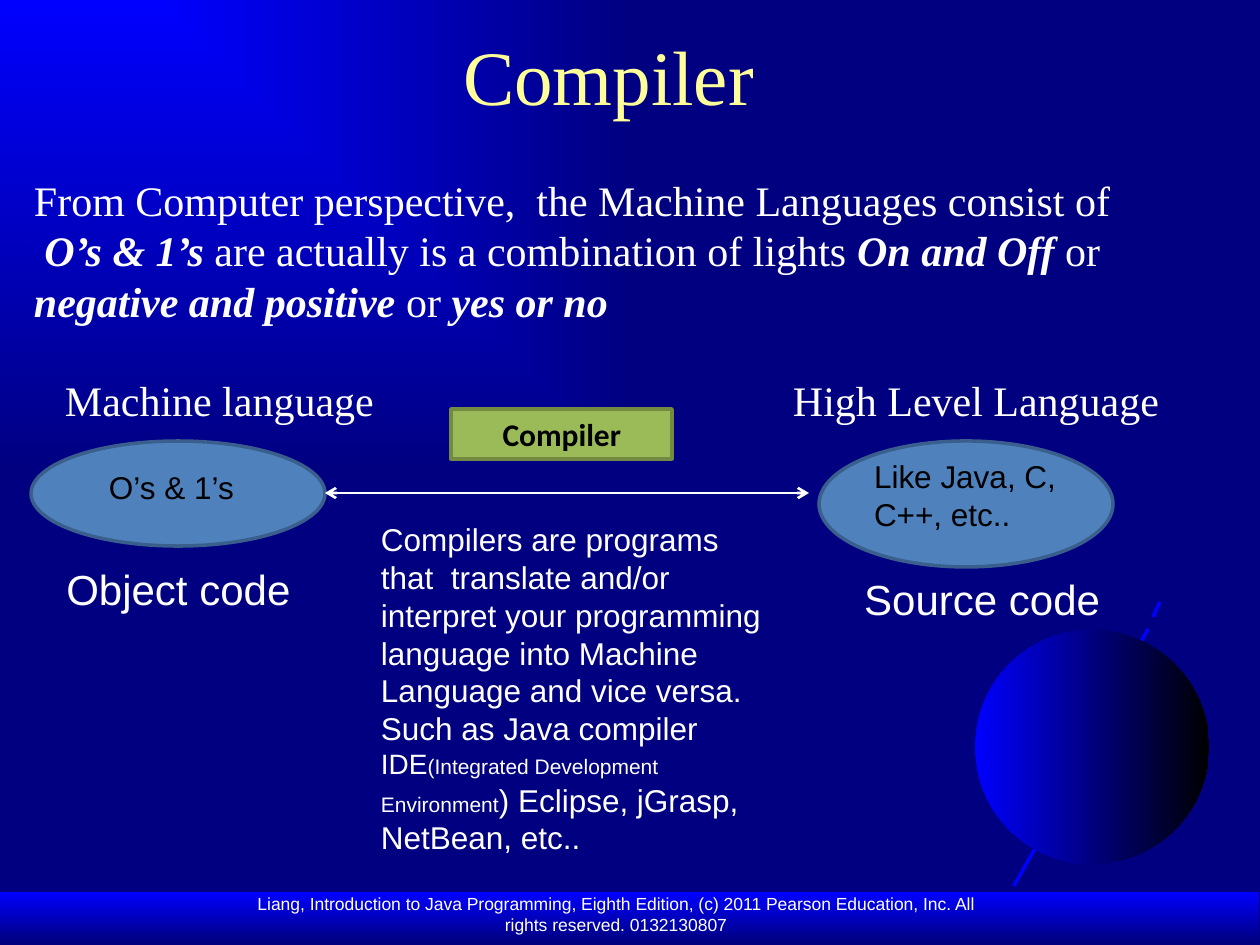
"""Build the Compiler slide: machine code, source code and what links them."""
from dataclasses import dataclass
from typing import Optional

from lxml import etree
from pptx import Presentation
from pptx import util as u
from pptx.dml.color import RGBColor
from pptx.enum import shapes, text
from pptx.oxml import ns

SCALE = 914400 / 126
COLORS = {
    "blue": "0000FF", "navy": "000080", "black": "000000", "white": "FFFFFF",
    "yellow": "FFFF99", "oval": "4F81BD", "oval_edge": "3A5F8C",
    "green": "9BBB59", "green_edge": "738A42",
}
LEFT, CENTER = text.PP_ALIGN.LEFT, text.PP_ALIGN.CENTER
TOP, MIDDLE = text.MSO_ANCHOR.TOP, text.MSO_ANCHOR.MIDDLE
OVAL, RECT = shapes.MSO_SHAPE.OVAL, shapes.MSO_SHAPE.RECTANGLE
STRONG = {"bold": True, "italic": True}


@dataclass
class Run:
    text: str
    fmt: Optional[dict] = None


@dataclass
class Para:
    runs: list[Run]
    before: int = 0
    tabs: tuple[int, ...] = ()


@dataclass
class Label:
    box: tuple[int, int, int, int]
    paras: list[Para]
    size: int = 18
    font: str = "Arial"
    color: str = "white"
    align: text.PP_ALIGN = LEFT
    anchor: text.MSO_ANCHOR = TOP
    bold: bool = False
    inset: int = 13


@dataclass
class Solid:
    kind: shapes.MSO_SHAPE
    box: tuple[int, int, int, int]
    fill: str
    edge: str


@dataclass
class Gradient:
    kind: shapes.MSO_SHAPE
    box: tuple[int, int, int, int]
    end: str
    angle: int


@dataclass
class Line:
    ends: tuple[int, int, int, int]
    color: str = "blue"
    width: float = 2
    arrows: bool = False


def px(*values: int) -> list[int]:
    return [u.Emu(round(v * SCALE)) for v in values]


def rgb(name: str) -> RGBColor:
    return RGBColor.from_string(COLORS[name])


def apply(obj, fmt: dict) -> None:
    for name, value in fmt.items():
        setattr(obj, name, value)


def plain(words: str) -> list[Para]:
    return [Para([Run(words)])]


def set_gradient(fill, start: str, end: str) -> None:
    fill.gradient()
    for stop, name in zip(fill.gradient_stops, (start, end)):
        stop.color.rgb = rgb(name)


def paint_background(s) -> None:
    set_gradient(s.background.fill, "blue", "navy")
    grad = s.background._cSld.find(".//" + ns.qn("a:gradFill"))
    grad.remove(grad.find(ns.qn("a:lin")))
    path = etree.SubElement(grad, ns.qn("a:path"), {"path": "rect"})
    etree.SubElement(path, ns.qn("a:fillToRect"), {"r": "100000", "b": "100000"})


def fill_text(tf, label: Label) -> None:
    apply(tf, {"word_wrap": True, "vertical_anchor": label.anchor,
               "margin_left": px(label.inset)[0]})
    for i, para in enumerate(label.paras):
        p = tf.paragraphs[0] if i == 0 else tf.add_paragraph()
        if para.tabs:
            tabs = etree.SubElement(p._p.get_or_add_pPr(), ns.qn("a:tabLst"))
            for pos in px(*para.tabs):
                etree.SubElement(tabs, ns.qn("a:tab"), {"pos": str(pos), "algn": "l"})
        apply(p, {"alignment": label.align, "space_before": u.Pt(para.before)})
        for run in para.runs:
            r = p.add_run()
            r.text = run.text
            fmt = {"size": u.Pt(label.size), "name": label.font, "bold": label.bold}
            apply(r.font, fmt | (run.fmt or {}))
            r.font.color.rgb = rgb(label.color)


def draw_label(s, label: Label) -> None:
    fill_text(s.shapes.add_textbox(*px(*label.box)).text_frame, label)


def draw_solid(s, item: Solid):
    sp = s.shapes.add_shape(item.kind, *px(*item.box))
    sp.shadow.inherit = False
    sp.fill.solid()
    sp.fill.fore_color.rgb = rgb(item.fill)
    sp.line.color.rgb = rgb(item.edge)
    sp.line.width = u.Pt(2)
    return sp


def draw_gradient(s, item: Gradient) -> None:
    sp = s.shapes.add_shape(item.kind, *px(*item.box))
    sp.shadow.inherit = False
    set_gradient(sp.fill, "blue", item.end)
    sp.fill.gradient_angle = item.angle
    sp.line.fill.background()


def draw_line(s, item: Line) -> None:
    sp = s.shapes.add_connector(shapes.MSO_CONNECTOR.STRAIGHT, *px(*item.ends))
    sp.line.color.rgb = rgb(item.color)
    sp.line.width = u.Pt(item.width)
    if item.arrows:
        for tag in ("a:headEnd", "a:tailEnd"):
            etree.SubElement(sp.line._ln, ns.qn(tag), {"type": "arrow"})
    etree.SubElement(sp._element.spPr, ns.qn("a:effectLst"))


DECOR = [Gradient(RECT, (0, 892, 1259, 50), "navy", 270),
         Gradient(OVAL, (975, 630, 234, 234), "black", 0)]
AXIS = [Line((1014, 886, 1037, 845)), Line((1140, 644, 1148, 629)),
        Line((1153, 617, 1160, 602))]
OVALS = [Solid(OVAL, (31, 441, 294, 105), "oval", "oval_edge"),
         Solid(OVAL, (819, 441, 294, 126), "oval", "oval_edge")]
INTRO = [
    Para([Run("From Computer perspective,  the Machine Languages consist of")]),
    Para([Run(" "), Run("O’s & 1’s ", STRONG),
          Run("are actually is a combination of lights "),
          Run("On and Off ", STRONG), Run("or "),
          Run("negative and positive ", STRONG), Run("or "),
          Run("yes or no", STRONG)]),
    Para([Run("\tMachine language\tHigh Level Language")], 28, (31, 759)),
]
DETAILS = [
    Para([Run("Compilers are programs that  translate and/or interpret your "
              "programming language into Machine Language and vice versa.")]),
    Para([Run("Such as Java compiler "), Run("IDE", {"size": u.Pt(16)}),
          Run("(Integrated Development Environment", {"size": u.Pt(12)}),
          Run(") Eclipse, jGrasp, NetBean, etc..")]),
]
LABELS = [
    Label((231, 887, 769, 58), plain(
        "Liang, Introduction to Java Programming, Eighth Edition, (c) 2011 "
        "Pearson Education, Inc. All rights reserved. 0132130807"), 10, align=CENTER),
    Label((73, 21, 1071, 107), plain("Compiler"), 44, "Times New Roman", "yellow",
          CENTER, MIDDLE),
    Label((21, 168, 1239, 394), INTRO, 24, "Times New Roman"),
    Label((53, 462, 252, 50), plain("O’s & 1’s"), color="black", inset=56),
    Label((31, 557, 294, 64), plain("Object code"), 24, align=CENTER),
    Label((861, 451, 231, 89), plain("Like Java, C, C++, etc.."), color="black"),
    Label((829, 567, 294, 64), plain(" Source code"), 24, align=CENTER),
    Label((368, 514, 410, 391), DETAILS),
]
BOX = (451, 409, 221, 50)


def main() -> None:
    prs = Presentation()
    prs.slide_width, prs.slide_height = px(1260, 945)
    s = prs.slides.add_slide(prs.slide_layouts[6])
    paint_background(s)
    for line in AXIS:
        draw_line(s, line)
    for item in DECOR:
        draw_gradient(s, item)
    for oval in OVALS:
        draw_solid(s, oval)
    for label in LABELS:
        draw_label(s, label)
    draw_line(s, Line((325, 493, 809, 493), "white", 1.5, True))
    sp = draw_solid(s, Solid(RECT, BOX, "green", "green_edge"))
    fill_text(sp.text_frame, Label(BOX, plain("Compiler"), 18, "Calibri", "black",
                                   CENTER, bold=True))
    prs.save("out.pptx")


if __name__ == "__main__":
    main()
